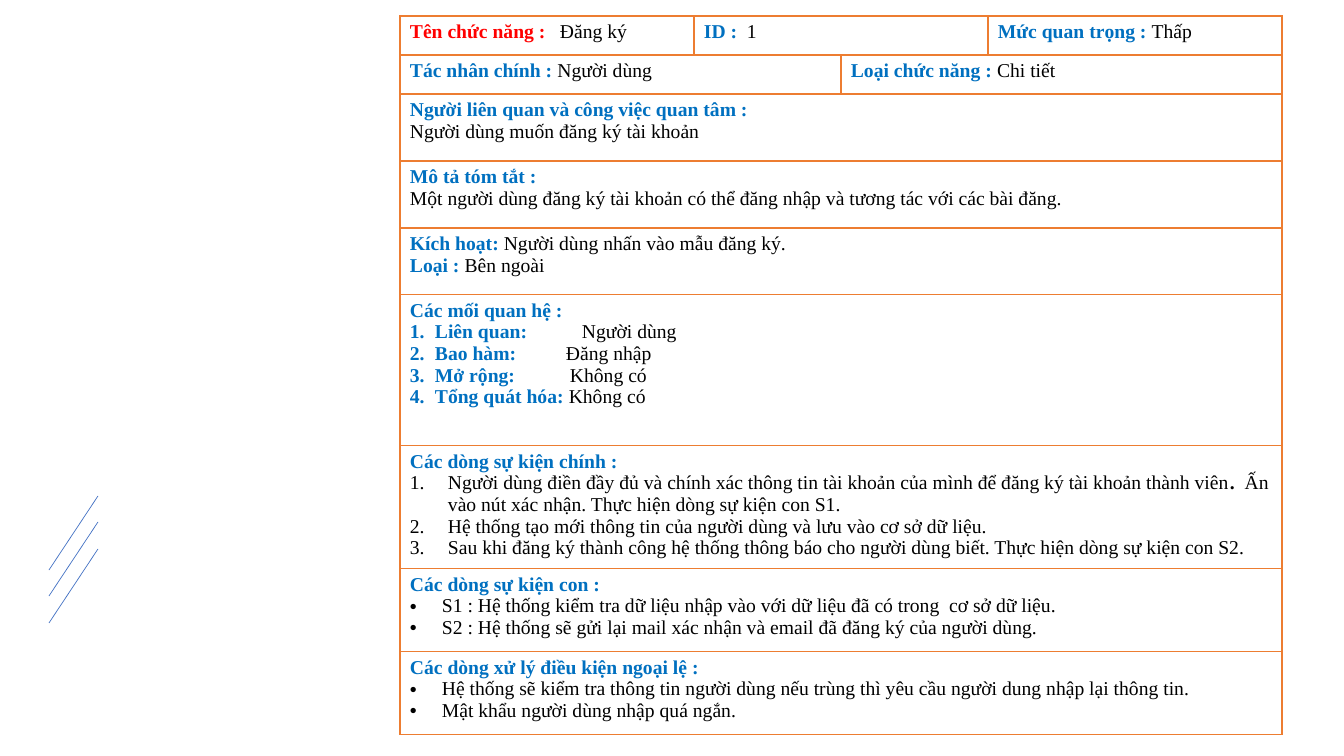
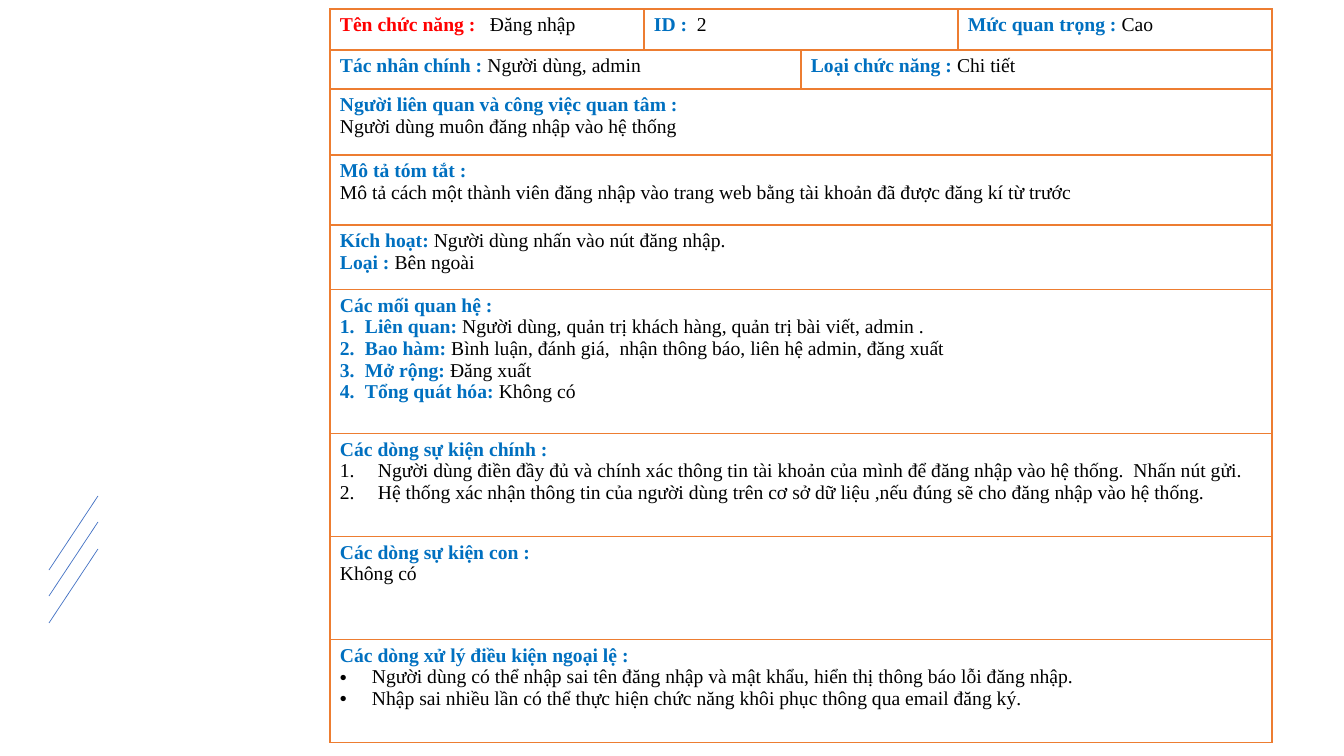
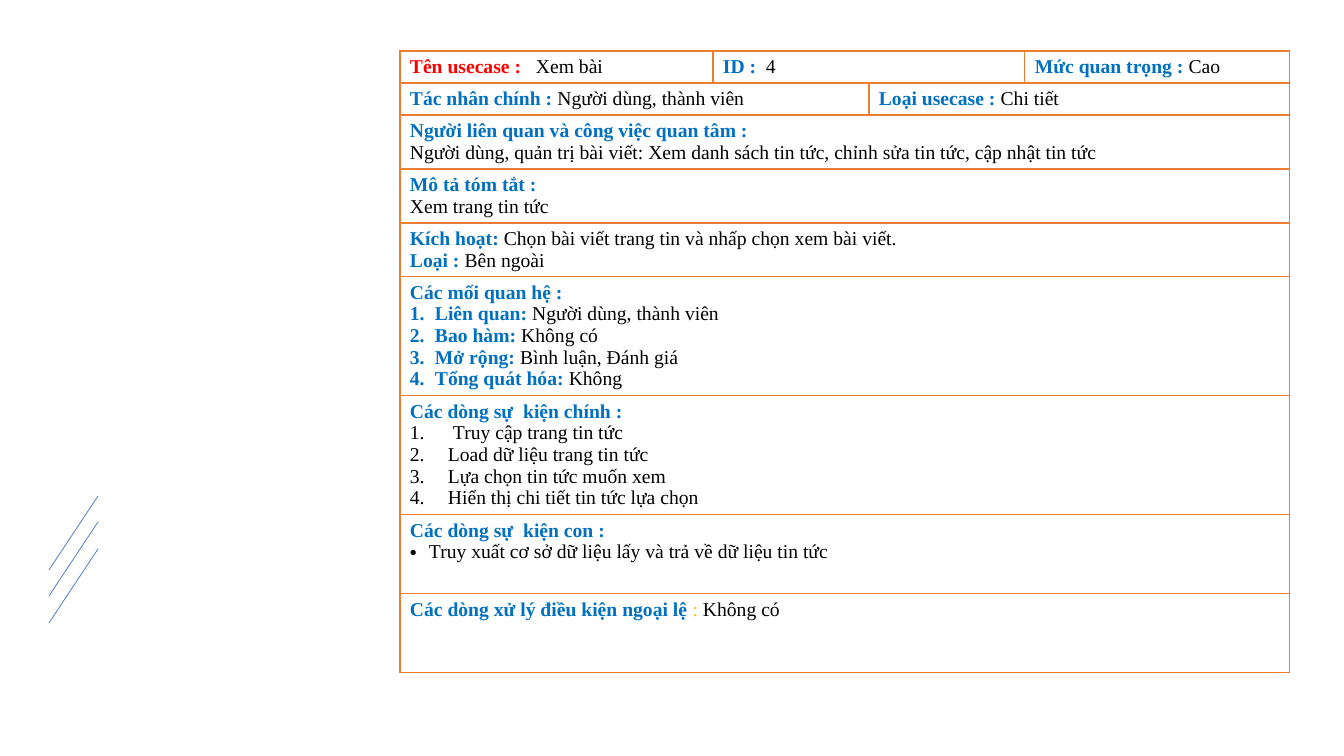
from dataclasses import dataclass

from lxml import etree
from pptx import Presentation
from pptx.dml.color import RGBColor
from pptx.enum.shapes import MSO_CONNECTOR
from pptx.enum.text import MSO_ANCHOR
from pptx.oxml.ns import qn
from pptx.util import Emu, Pt

STRAIGHT = MSO_CONNECTOR.STRAIGHT
TOP = MSO_ANCHOR.TOP

RED = RGBColor(0xFF, 0x00, 0x00)
BLUE = RGBColor(0x00, 0x70, 0xC0)
BLACK = RGBColor(0x00, 0x00, 0x00)
AMBER = RGBColor(0xFF, 0xC0, 0x00)
ORANGE = RGBColor(0xED, 0x7D, 0x31)
ACCENT = RGBColor(0x44, 0x72, 0xC4)

TITLE = {"bold": True, "color": RED}
LABEL = {"bold": True, "color": BLUE}
VALUE = {"bold": False, "color": BLACK}
STRONG = {"bold": True, "color": BLACK}
COLON = {"bold": False, "color": AMBER}

RELATIONS = ("Liên quan:", "Bao hàm:", "Mở rộng:", "Tổng quát hóa:")
SPANS = [((0, 1), (0, 2)), ((1, 0), (1, 1)), ((1, 2), (1, 3))]
SPANS += [((row, 0), (row, 3)) for row in range(2, 9)]


@dataclass
class Line:
    """One paragraph: styled runs, list marker, hanging indent and tab stop."""

    runs: list
    marker: str = ""
    indent: int = 0
    tab: int = 0


def field(name, text, style=LABEL, tab=0, **layout):
    """Return a label followed by its value, parted by a space or a tab."""
    gap = "\t" if tab else " "
    return Line([(style, name + gap), (VALUE, text)], tab=tab, **layout)


def heading(text):
    """Return a label on a line of its own."""
    return Line([(LABEL, text)])


def plain(text):
    """Return a line of ordinary text."""
    return Line([(VALUE, text)])


def numbered(*texts, indent=38):
    """Return a numbered list."""
    return [Line([(VALUE, text)], "1.", indent) for text in texts]


def bulleted(*texts, indent=32):
    """Return a bulleted list."""
    return [Line([(VALUE, text)], "•", indent) for text in texts]


def use_case(kind, name, name_tab, number, level, actor, concern, summary,
             trigger, relations, main, sub, errors,
             events="Các dòng sự kiện", relation_tabs=(0, 0, 0, 0)):
    """Return the cells of a use case table, keyed by row and column."""
    related = [field(label, text, tab=tab, marker="1.", indent=25)
               for label, text, tab in zip(RELATIONS, relations, relation_tabs)]
    start = Line([(LABEL, "Kích hoạt: "), (VALUE, trigger + "\n"),
                  (LABEL, "Loại : "), (VALUE, "Bên ngoài")])
    return {
        (0, 0): [field(f"Tên {kind} :", name, TITLE, name_tab)],
        (0, 1): [field("ID :", number, tab=43)],
        (0, 3): [field("Mức quan trọng :", level)],
        (1, 0): [field("Tác nhân chính :", actor)],
        (1, 2): [field(f"Loại {kind} :", "Chi tiết")],
        (2, 0): [heading("Người liên quan và công việc quan tâm :"), plain(concern)],
        (3, 0): [Line([(LABEL, "Mô tả tóm tắt :\n"), (VALUE, summary)])],
        (4, 0): [start],
        (5, 0): [heading("Các mối quan hệ :"), *related],
        (6, 0): [heading(f"{events} chính :"), *main],
        (7, 0): [heading(f"{events} con :"), *sub],
        (8, 0): errors,
    }


class Deck:
    """Holds the shared style and the current slide."""

    font = {"name": "Times New Roman", "size": Pt(14)}
    margins = {"margin_left": 10, "margin_right": 10, "margin_top": 5, "margin_bottom": 5}

    def __init__(self):
        """Start a widescreen presentation."""
        self.deck = Presentation()
        self.deck.slide_width = self.px(1344)
        self.deck.slide_height = self.px(756)

    @staticmethod
    def px(length):
        """Turn pixels into EMU."""
        return Emu(round(length * 914400 / 100.8))

    def new_slide(self):
        """Add a blank slide with the shared slanted lines."""
        self.slide = self.deck.slides.add_slide(self.deck.slide_layouts[6])
        for top in (496, 522, 549):
            self.line(49, top + 74, 98, top)

    def line(self, *ends):
        """Draw a thin accent line."""
        stroke = self.slide.shapes.add_connector(STRAIGHT, *map(self.px, ends))
        stroke.line.color.rgb = ACCENT
        stroke.line.width = Pt(0.5)
        etree.SubElement(stroke._element.spPr, qn("a:effectLst"))

    def table(self, left, top, widths, heights, cells):
        """Draw a bordered use case table."""
        box = map(self.px, (left, top, sum(widths), sum(heights)))
        table = self.slide.shapes.add_table(len(heights), len(widths), *box).table
        table.first_row = table.horz_banding = False
        for column, width in zip(table.columns, widths):
            column.width = self.px(width)
        for row, height in zip(table.rows, heights):
            row.height = self.px(height)
        for first, last in SPANS:
            table.cell(*first).merge(table.cell(*last))
        for cell in table.iter_cells():
            self.frame(cell)
        for place, lines in cells.items():
            self.text(table.cell(*place).text_frame, lines)

    def frame(self, cell):
        """Set the margins, empty fill and borders of a cell."""
        for side, margin in self.margins.items():
            setattr(cell, side, self.px(margin))
        cell.vertical_anchor = TOP
        cell.fill.background()
        properties = cell._tc.get_or_add_tcPr()
        for index, side in enumerate(("lnL", "lnR", "lnT", "lnB")):
            border = etree.Element(qn(f"a:{side}"), w=str(Pt(1)))
            fill = etree.SubElement(border, qn("a:solidFill"))
            etree.SubElement(fill, qn("a:srgbClr"), val=str(ORANGE))
            properties.insert(index, border)

    def text(self, text_frame, lines):
        """Fill a text frame with lines."""
        for index, line in enumerate(lines):
            paragraph = text_frame.add_paragraph() if index else text_frame.paragraphs[0]
            self.layout(paragraph, line)
            for style, text in line.runs:
                for part, piece in enumerate(text.split("\n")):
                    if part:
                        paragraph.add_line_break()
                        etree.SubElement(paragraph._p[-1], qn("a:rPr"), sz="1400")
                    if piece:
                        self.run(paragraph, piece, style)

    def layout(self, paragraph, line):
        """Set the list marker, indent and tab stop of a paragraph."""
        properties = paragraph._p.get_or_add_pPr()
        if line.marker:
            properties.set("marL", str(self.px(line.indent)))
            properties.set("indent", str(-self.px(line.indent)))
        if line.marker == "•":
            etree.SubElement(properties, qn("a:buFont"), typeface="Arial")
            etree.SubElement(properties, qn("a:buChar"), char=line.marker)
        elif line.marker:
            etree.SubElement(properties, qn("a:buAutoNum"), type="arabicPeriod")
        if line.tab:
            stops = etree.SubElement(properties, qn("a:tabLst"))
            etree.SubElement(stops, qn("a:tab"), pos=str(self.px(line.tab)), algn="l")

    def run(self, paragraph, text, style):
        """Add a styled run."""
        run = paragraph.add_run()
        run.text = text
        for name, value in {**self.font, "bold": style["bold"]}.items():
            setattr(run.font, name, value)
        run.font.color.rgb = style["color"]


def main():
    """Build the three use case slides."""
    errors = heading("Các dòng xử lý điều kiện ngoại lệ :")
    deck = Deck()

    deck.new_slide()
    deck.table(400, 16, (294, 147, 147, 294), (39, 39, 67, 67, 67, 151, 123, 83, 83), use_case(
        kind="chức năng", name="Đăng ký", name_tab=150, number="1", level="Thấp",
        actor="Người dùng",
        concern="Người dùng muốn đăng ký tài khoản",
        summary="Một người dùng đăng ký tài khoản có thể đăng nhập và tương tác với các bài đăng.",
        trigger="Người dùng nhấn vào mẫu đăng ký.",
        relations=("Người dùng", "Đăng nhập", "Không có", "Không có"),
        relation_tabs=(172, 156, 160, 0),
        main=[
            Line([(VALUE, "Người dùng điền đầy đủ và chính xác thông tin tài khoản của mình "
                          "để đăng ký tài khoản thành viên"),
                  (STRONG, ".  "),
                  (VALUE, "Ấn vào nút xác nhận. Thực hiện dòng sự kiện con S1.")], "1.", 38),
            *numbered(
                "Hệ thống tạo mới thông tin của người dùng và lưu vào cơ sở dữ liệu.",
                "Sau khi đăng ký thành công hệ thống thông báo cho người dùng biết. "
                "Thực hiện dòng sự kiện con S2."),
        ],
        sub=bulleted(
            "S1 : Hệ thống kiểm tra dữ liệu nhập vào với dữ liệu đã có trong  cơ sở dữ liệu.",
            "S2 : Hệ thống sẽ gửi lại mail xác nhận và email đã đăng ký của người dùng."),
        errors=[errors, *bulleted(
            "Hệ thống sẽ kiểm tra thông tin người dùng nếu trùng thì yêu cầu người dung "
            "nhập lại thông tin.",
            "Mật khẩu người dùng nhập quá ngắn.")],
    ))

    deck.new_slide()
    deck.table(330, 9, (314, 157, 157, 314), (41, 39, 66, 70, 65, 144, 103, 103, 103), use_case(
        kind="chức năng", name="Đăng nhập", name_tab=150, number="2", level="Cao",
        actor="Người dùng, admin",
        concern="Người dùng muôn đăng nhập vào hệ thống",
        summary="Mô tả cách một thành viên đăng nhập vào trang web bằng tài khoản "
                "đã được đăng kí từ trước",
        trigger="Người dùng nhấn vào nút đăng nhập.",
        relations=("Người dùng, quản trị khách hàng, quản trị bài viết, admin .",
                   "Bình luận, đánh giá,  nhận thông báo, liên hệ admin, đăng xuất",
                   "Đăng xuất", "Không có"),
        main=numbered(
            "Người dùng điền đầy đủ và chính xác thông tin tài khoản của mình "
            "để đăng nhập vào hệ thống.  Nhấn nút gửi.",
            "Hệ thống xác nhận thông tin của người dùng trên cơ sở dữ liệu ,"
            "nếu đúng sẽ cho đăng nhập vào hệ thống."),
        sub=[plain("Không có")],
        errors=[errors, *bulleted(
            "Người dùng có thể nhập sai tên đăng nhập và mật khẩu, "
            "hiển thị thông báo lỗi đăng nhập.",
            "Nhập sai nhiều lần có thể thực hiện chức năng khôi phục thông qua email đăng ký.")],
    ))

    deck.new_slide()
    deck.table(400, 51, (313, 156, 156, 265), (32, 32, 54, 54, 54, 119, 119, 79, 79), use_case(
        kind="usecase", name="Xem bài", name_tab=126, number="4", level="Cao",
        actor="Người dùng, thành viên",
        concern="Người dùng, quản trị bài viết: Xem danh sách tin tức, "
                "chỉnh sửa tin tức, cập nhật tin tức",
        summary="Xem trang tin tức",
        trigger="Chọn bài viết trang tin và nhấp chọn xem bài viết.",
        relations=("Người dùng, thành viên", "Không có", "Bình luận, Đánh giá", "Không"),
        events="Các dòng sự  kiện",
        main=[
            *numbered("Truy cập trang tin tức", indent=43),
            *numbered("Load dữ liệu trang tin tức", "Lựa chọn tin tức muốn xem",
                      "Hiển thị chi tiết tin tức lựa chọn"),
        ],
        sub=bulleted("Truy xuất cơ sở dữ liệu lấy và trả về dữ liệu tin tức", indent=19),
        errors=[Line([(LABEL, "Các dòng xử lý điều kiện ngoại lệ "), (COLON, ": "),
                      (VALUE, "Không có")])],
    ))

    deck.deck.save("out.pptx")


if __name__ == "__main__":
    main()
